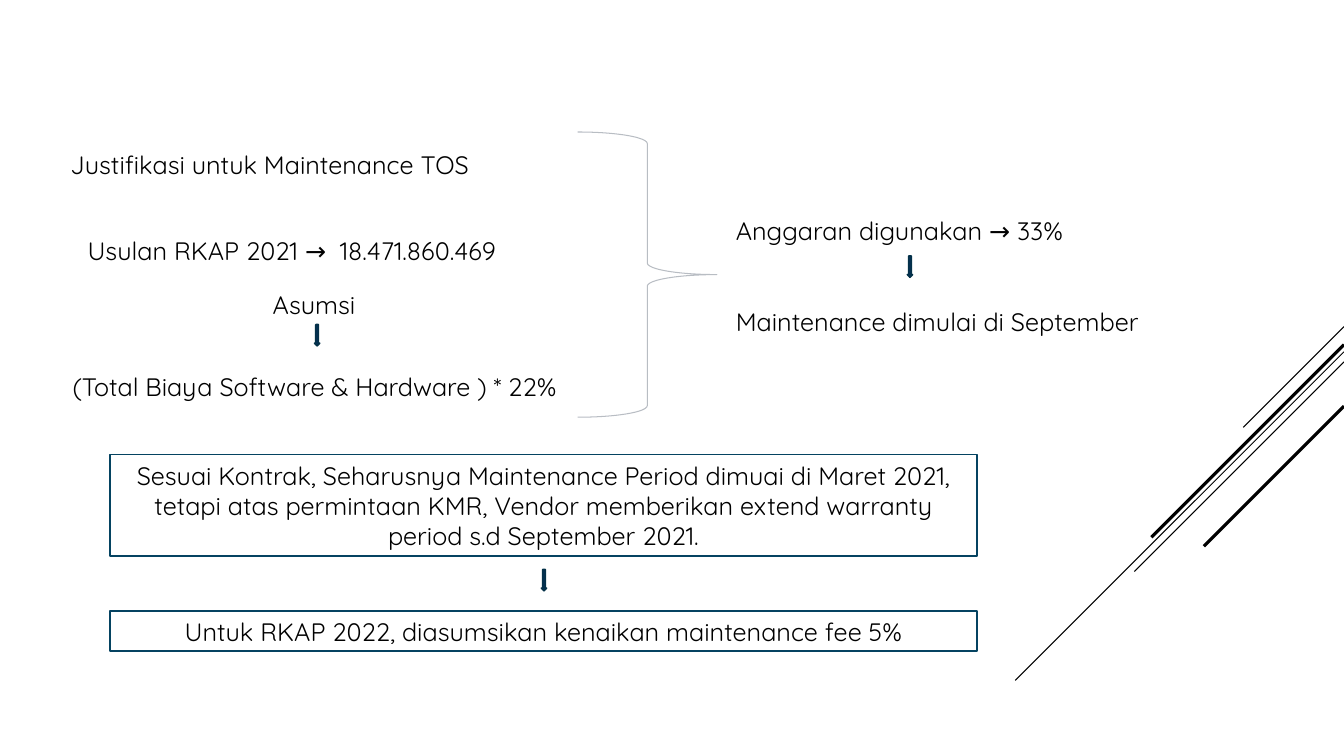
import lxml.etree
import pptx
import pptx.dml.color
import pptx.enum.shapes
import pptx.enum.text
import pptx.oxml.ns
import pptx.util

Inches = pptx.util.Inches
Pt = pptx.util.Pt
SHAPE = pptx.enum.shapes.MSO_SHAPE
ALIGN = pptx.enum.text.PP_ALIGN
qn = pptx.oxml.ns.qn
FONT = "Quicksand"


def paint(target, color):
    target.rgb = pptx.dml.color.RGBColor.from_string(color)


def write(shape, text, align):
    frame = shape.text_frame
    frame.word_wrap = True
    frame.auto_size = pptx.enum.text.MSO_AUTO_SIZE.SHAPE_TO_FIT_TEXT
    para = frame.paragraphs[0]
    para.alignment = align
    run = para.add_run()
    run.text = text
    run.font.name = FONT
    run.font.size = Pt(18)
    paint(run.font.color, "000000")


def label(slide, x, y, width, text, align=ALIGN.LEFT):
    box = slide.shapes.add_textbox(Inches(x), Inches(y), Inches(width), Inches(0.4))
    write(box, text, align)


def draw(slide, kind, box, fill, line, weight):
    shape = slide.shapes.add_shape(kind, *[Inches(v) for v in box])
    shape.shadow.inherit = False
    if fill:
        shape.fill.solid()
        paint(shape.fill.fore_color, fill)
    else:
        shape.fill.background()
    paint(shape.line.color, line)
    shape.line.width = Pt(weight)
    return shape


def arrow(slide, x, y):
    draw(slide, SHAPE.DOWN_ARROW, (x, y, 0.05, 0.21), "052F61", "043148", 1.25)


def panel(slide, box, text):
    shape = draw(slide, SHAPE.RECTANGLE, box, "FFFFFF", "054361", 1.25)
    write(shape, text, ALIGN.CENTER)


def stripes(slide, right, top):
    rays = [(0, 1, 0.75), (0.25, 3.26, 0.75), (0.35, 2.08, 0.75),
            (0.18, 1.91, 2.25), (0.79, 1.39, 2.25)]
    for drop, reach, weight in rays:
        start = top + drop
        line = slide.shapes.add_connector(
            pptx.enum.shapes.MSO_CONNECTOR.STRAIGHT,
            Inches(right), Inches(start), Inches(right - reach), Inches(start + reach))
        paint(line.line.color, "000000")
        line.line.width = Pt(weight)
        lxml.etree.SubElement(line._element.spPr, qn("a:effectLst"))


def reasons(slide, x, y):
    label(slide, x + 0.21, y, 5.97, "Justifikasi untuk Maintenance TOS")
    label(slide, x + 0.38, y + 0.86, 5.97, "Usulan RKAP 2021 →  18.471.860.469")
    label(slide, x + 1, y + 1.39, 3.45, "Asumsi", ALIGN.CENTER)
    arrow(slide, x + 2.73, y + 1.79)
    label(slide, x, y + 2.2, 5.46, "(Total Biaya Software & Hardware ) * 22%", ALIGN.CENTER)


def brace(slide, box):
    shape = draw(slide, SHAPE.RIGHT_BRACE, box, None, "89919C", 0.75)
    color = shape.line._ln.find(".//" + qn("a:srgbClr"))
    lxml.etree.SubElement(color, qn("a:alpha"), val="60000")


def budget(slide, x, y):
    label(slide, x, y, 5.97, "Anggaran digunakan → 33%")
    arrow(slide, x + 1.8, y + 0.45)
    label(slide, x, y + 0.9, 5.97, "Maintenance dimulai di September")


def outcome(slide, x, y, width):
    panel(slide, (x, y, width, 1.01),
          "Sesuai Kontrak, Seharusnya Maintenance Period dimuai di Maret 2021, "
          "tetapi atas permintaan KMR, Vendor memberikan extend warranty "
          "period s.d September 2021.")
    arrow(slide, x + width / 2 - 0.02, y + 1.14)
    panel(slide, (x, y + 1.55, width, 0.4),
          "Untuk RKAP 2022, diasumsikan kenaikan maintenance fee 5%")


def main():
    deck = pptx.Presentation()
    deck.slide_width = Inches(13.33)
    deck.slide_height = Inches(7.5)
    slide = deck.slides.add_slide(deck.slide_layouts[6])
    slide.background.fill.solid()
    paint(slide.background.fill.fore_color, "FFFFFF")
    stripes(slide, 13.33, 3.24)
    reasons(slide, 0.39, 1.43)
    brace(slide, (5.73, 1.31, 1.38, 2.83))
    budget(slide, 7.2, 2.09)
    outcome(slide, 1.09, 4.51, 8.6)
    deck.save("out.pptx")


if __name__ == "__main__":
    main()
